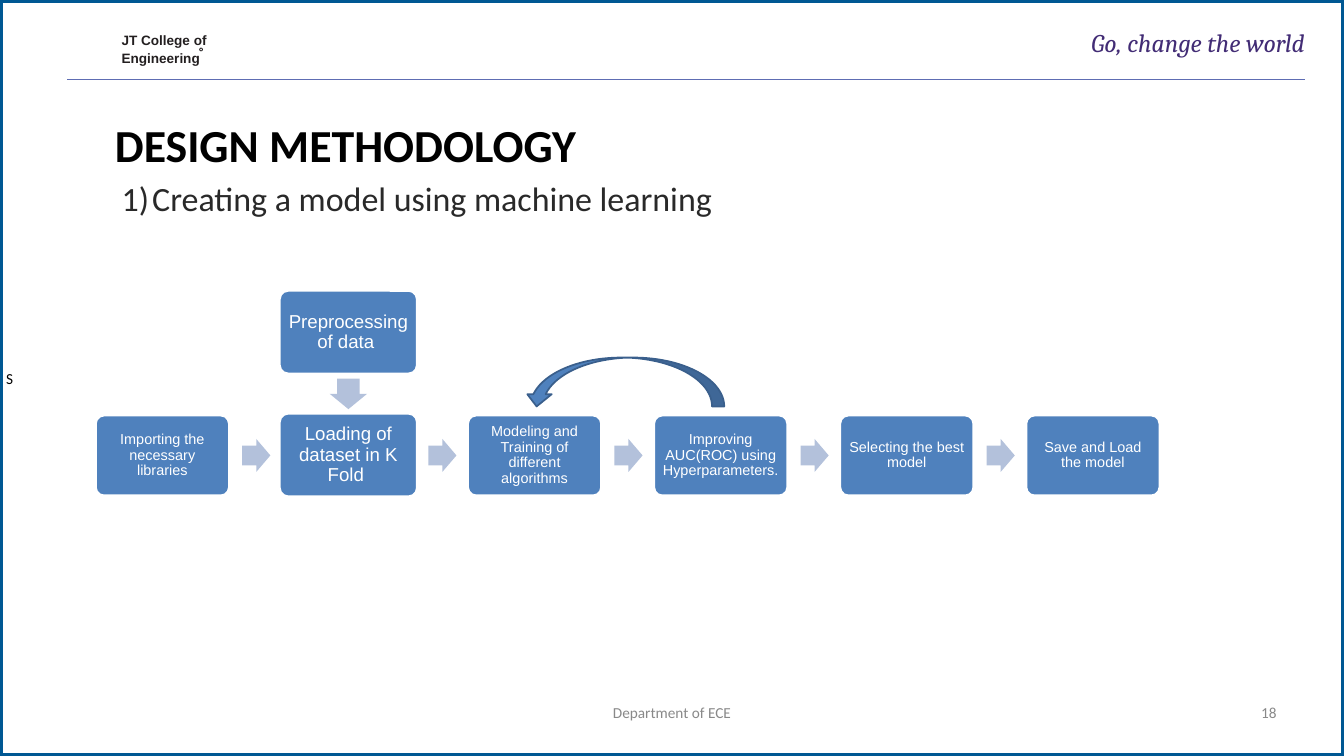
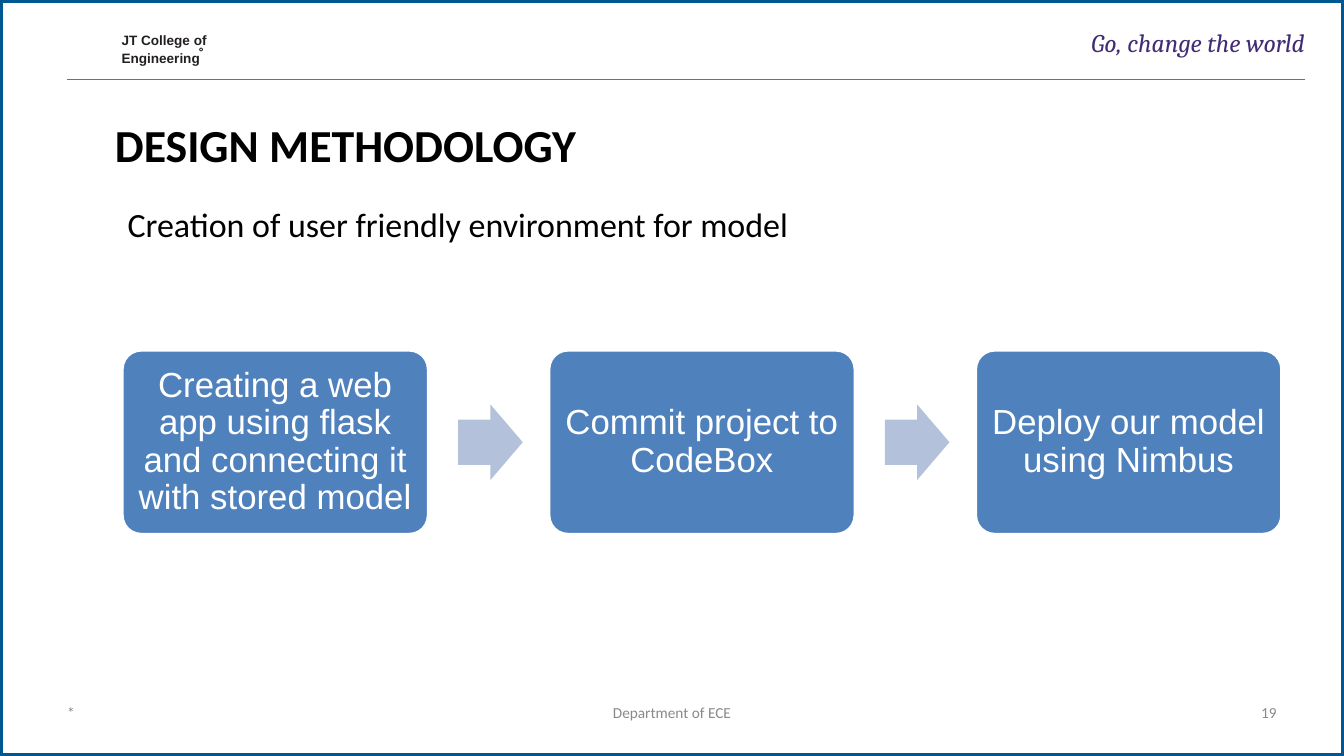
import pptx
import pptx.dml.color
import pptx.enum.shapes
import pptx.enum.text
import pptx.oxml.ns
import pptx.util
from lxml import etree

Inches = pptx.util.Inches
Pt = pptx.util.Pt
RGB = pptx.dml.color.RGBColor
KIND = pptx.enum.shapes.MSO_SHAPE
LINK = pptx.enum.shapes.MSO_CONNECTOR
ALIGN = pptx.enum.text.PP_ALIGN
ANCHOR = pptx.enum.text.MSO_ANCHOR
qn = pptx.oxml.ns.qn

WIDE, HIGH = 21.99, 12.37
WHITE = RGB(0xFF, 0xFF, 0xFF)
BLACK = RGB(0, 0, 0)
FRAME = RGB(0x00, 0x58, 0x93)
RULE = RGB(0x5E, 0x6D, 0xB3)
INK = RGB(0x23, 0x1F, 0x20)
PURPLE = RGB(0x42, 0x2C, 0x75)
GREY = RGB(0x89, 0x89, 0x89)
DARK = RGB(0x29, 0x29, 0x29)
BLUE = RGB(0x4F, 0x81, 0xBD)
NAVY = RGB(0x3A, 0x5F, 0x8C)
PALE = RGB(0xB3, 0xC1, 0xDB)


def write(shape, text, size=18, font="Calibri", color=BLACK, bold=False,
          slant=False, align=ALIGN.LEFT, anchor=ANCHOR.TOP, inset=(0, 0),
          space=1.0, before=0):
    """Fill a shape with text, one paragraph for each line."""
    frame = shape.text_frame
    frame.word_wrap = True
    frame.vertical_anchor = anchor
    frame.margin_left = frame.margin_right = Inches(inset[0])
    frame.margin_top = frame.margin_bottom = Inches(inset[1])
    for index, line in enumerate(text.split("\n")):
        para = frame.add_paragraph() if index else frame.paragraphs[0]
        para.alignment = align
        para.line_spacing = space
        para.space_before = Pt(before)
        run = para.add_run()
        run.text = line
        run.font.size = Pt(size)
        run.font.name = font
        run.font.bold = bold
        run.font.italic = slant
        run.font.color.rgb = color
    return shape


def label(slide, at, text, **style):
    """Add a text box."""
    return write(slide.shapes.add_textbox(*map(Inches, at)), text, **style)


def draw(slide, kind, at, fill, line=None, width=2, turn=0):
    """Add a flat preset shape."""
    shape = slide.shapes.add_shape(kind, *map(Inches, at))
    shape.shadow.inherit = False
    shape.rotation = turn
    shape.fill.solid()
    shape.fill.fore_color.rgb = fill
    if line is None:
        shape.line.fill.background()
    else:
        shape.line.color.rgb = line
        shape.line.width = Pt(width)
    return shape


def arrow(slide, at, turn=0):
    """Add a pale block arrow."""
    shape = draw(slide, KIND.RIGHT_ARROW, at, PALE, turn=turn)
    shape.adjustments[0] = 0.6
    shape.adjustments[1] = 0.5


def step(slide, at, text, size, inset):
    """Add one rounded step of a flow."""
    shape = draw(slide, KIND.ROUNDED_RECTANGLE, at, BLUE, WHITE)
    shape.adjustments[0] = 0.1
    write(shape, text, size=size, font="Arial", color=WHITE,
          align=ALIGN.CENTER, anchor=ANCHOR.MIDDLE, inset=(inset, inset),
          space=0.9)


def flow(slide, left, top, span, steps, size, inset):
    """Spread steps and arrows over a span; None leaves a slot open."""
    wide = span / (1 + 1.4 * (len(steps) - 1))
    high = 0.6 * wide
    for index, text in enumerate(steps):
        x = left + 1.4 * wide * index
        if text:
            step(slide, (x, top, wide, high), text, size, inset)
        if index < len(steps) - 1:
            tall = 0.248 * wide
            arrow(slide, (x + 1.1 * wide, top + (high - tall) / 2,
                          0.212 * wide, tall))


def stack(slide, left, top, steps):
    """Place two steps one above the other with an arrow between."""
    wide, high, pitch = 2.24, 1.35, 2.01
    for index, text in enumerate(steps):
        step(slide, (left, top + index * pitch, wide, high), text, 22, 0.09)
    arrow(slide, (left + (wide - 0.5) / 2, top + 1.38, 0.5, 0.61), turn=90)


def header(slide):
    """Place the college name, motto, rule and title."""
    rule = slide.shapes.add_connector(
        LINK.STRAIGHT, Inches(1.1), Inches(1.3), Inches(21.36), Inches(1.3))
    rule.line.color.rgb = RULE
    rule.line.width = Pt(1.25)
    etree.SubElement(rule.element.spPr, qn("a:effectLst"))
    draw(slide, KIND.DONUT, (3.26, 0.78, 0.06, 0.06), INK)
    label(slide, (1.99, 0.48, 1.6, 0.54), "JT College of\nEngineering",
          size=16, font="Arial", color=INK, bold=True, inset=(0, 0.02),
          space=1.06, before=1)
    label(slide, (1.87, 1.9, 11.2, 0.92), "DESIGN METHODOLOGY", size=54,
          bold=True, inset=(0.01, 0.01))
    label(slide, (17.33, 0.45, 4.02, 0.51), "Go, change the world", size=30,
          font="Cambria", color=PURPLE, slant=True, align=ALIGN.RIGHT)


def footer(slide, number, mark):
    """Place the mark, department and page number."""
    parts = ((1.1, 5.06, mark, ALIGN.LEFT),
             (7.48, 7.03, "Department of ECE", ALIGN.CENTER),
             (15.83, 5.06, number, ALIGN.RIGHT))
    for left, wide, text, align in parts:
        if text:
            label(slide, (left, 11.5, wide, 0.62), text, color=GREY,
                  align=align)


def base(deck, number, mark="", note=""):
    """Add a slide with the shared frame, header and footer."""
    slide = deck.slides.add_slide(deck.slide_layouts[6])
    frame = draw(slide, KIND.RECTANGLE, (0, 0, WIDE, HIGH), WHITE, FRAME, 6)
    if note:
        write(frame, note, anchor=ANCHOR.MIDDLE, inset=(0.1, 0.05))
    header(slide)
    footer(slide, number, mark)
    return slide


def count(shape):
    """Number the first paragraph as 1)."""
    props = shape.text_frame.paragraphs[0]._p.get_or_add_pPr()
    props.set("marL", str(Inches(0.5)))
    props.set("indent", str(Inches(-0.53)))
    tint = etree.SubElement(props, qn("a:buClr"))
    etree.SubElement(tint, qn("a:srgbClr"), val=str(DARK))
    etree.SubElement(props, qn("a:buFont"), typeface="Calibri")
    etree.SubElement(props, qn("a:buAutoNum"), type="arabicParenR")


def model(deck):
    """Build the slide on making the model."""
    slide = base(deck, "18", note="S")
    count(label(slide, (1.99, 2.89, 18.98, 2.64),
                "Creating a model using machine learning", size=40,
                color=DARK, inset=(0, 0.01), before=14))
    flow(slide, 1.57, 6.8, 17.4, (
        "Importing the necessary libraries",
        None,
        "Modeling and Training of different algorithms",
        "Improving AUC(ROC) using Hyperparameters.",
        "Selecting the best model",
        "Save and Load the model"), 17, 0.07)
    stack(slide, 4.58, 4.76,
          ("Preprocessing of data ", "Loading of dataset in K Fold "))
    draw(slide, KIND.CURVED_UP_ARROW, (8.58, 5.85, 3.27, 0.8), BLUE, NAVY,
         turn=180)


def deploy(deck):
    """Build the slide on the user environment."""
    slide = base(deck, "19", mark="*")
    flow(slide, 2.01, 5.74, 18.95, (
        "Creating a web app using flask and connecting it with stored model",
        "Commit project to CodeBox",
        "Deploy our model using Nimbus"), 41, 0.17)
    label(slide, (1.99, 3.28, 11.5, 0.77),
          "Creation of user friendly environment for model", size=40,
          inset=(0.1, 0.05))


def main():
    """Build and save the deck."""
    deck = pptx.Presentation()
    deck.slide_width = Inches(WIDE)
    deck.slide_height = Inches(HIGH)
    model(deck)
    deploy(deck)
    deck.save("out.pptx")


if __name__ == "__main__":
    main()
